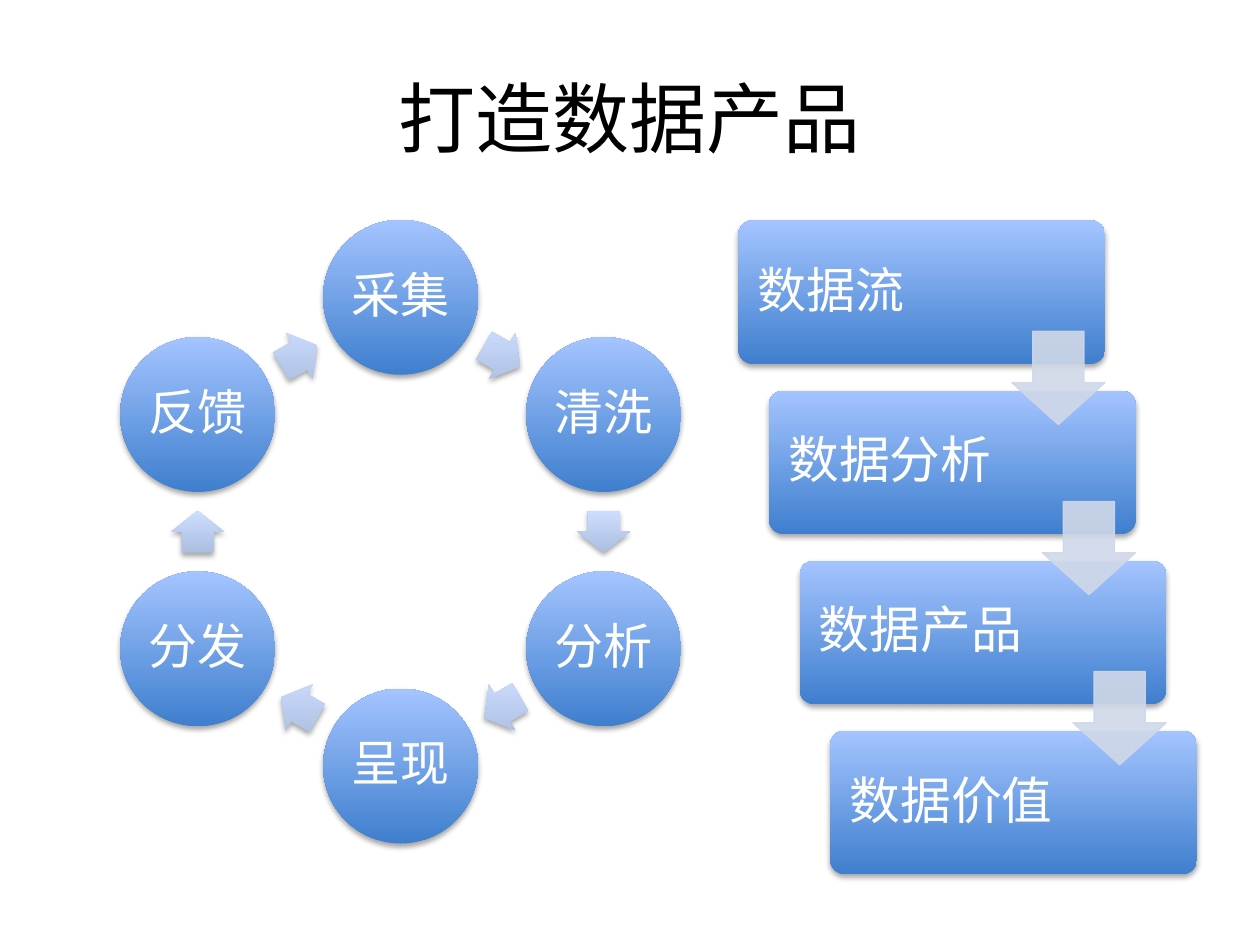
from dataclasses import dataclass
from math import cos, radians, sin

from lxml.etree import SubElement
from pptx import Presentation
from pptx.dml.color import RGBColor
from pptx.enum.shapes import MSO_SHAPE as Preset
from pptx.enum.text import MSO_ANCHOR as Anchor, PP_ALIGN as Align
from pptx.oxml.ns import qn
from pptx.shapes.autoshape import Shape
from pptx.slide import Slide
from pptx.util import Inches, Pt


@dataclass(frozen=True)
class Theme:
    font: str = "Calibri"
    title_size: int = 44
    label_size: int = 28
    step_size: int = 29
    ink: str = "000000"
    label: str = "FFFFFF"
    node: tuple[str, str] = ("3F7FCE", "A4C4FF")
    cycle_arrow: tuple[str, str] = ("ADBFE1", "CCDDFF")
    step_arrow: str = "D0D8E8"


@dataclass(frozen=True)
class Step:
    text: str
    size: int


THEME = Theme()
STAGES = ("采集", "清洗", "分析", "呈现", "分发", "反馈")
STEPS = (
    Step("数据流", THEME.label_size),
    Step("数据分析", THEME.step_size),
    Step("数据产品", THEME.step_size),
    Step("数据价值", THEME.step_size),
)
CENTER_X, CENTER_Y, RADIUS = 3.18, 4.22, 1.86
DIAMETER = 1.23
STEP_LEFT, STEP_TOP, STEP_WIDTH, STEP_HEIGHT = 5.86, 1.75, 2.91, 1.14
SHIFT_X, SHIFT_Y = 0.243, 1.35
DROP_SIZE = 0.74


def write(shape: Shape, text: str, *, size: int, color: str = THEME.label,
          align: Align = Align.CENTER, inset: float = 0.04,
          spacing: float = 0.9, wrap: bool = False) -> None:
    frame = shape.text_frame
    frame.word_wrap = wrap
    frame.vertical_anchor = Anchor.MIDDLE
    frame.margin_left = frame.margin_right = Inches(inset)
    frame.margin_top = frame.margin_bottom = Inches(inset)
    para = frame.paragraphs[0]
    para.alignment = align
    para.line_spacing = spacing
    span = para.add_run()
    span.text = text
    span.font.name = THEME.font
    span.font.size = Pt(size)
    span.font.color.rgb = RGBColor.from_string(color)


def add_preset(page: Slide, preset: Preset, left: float, top: float,
               width: float, height: float, *adjustments: float) -> Shape:
    shape = page.shapes.add_shape(
        preset, Inches(left), Inches(top), Inches(width), Inches(height))
    for index, value in enumerate(adjustments):
        shape.adjustments[index] = value
    shape.shadow.inherit = False
    shape.line.fill.background()
    return shape


def add_shadow(shape: Shape) -> None:
    effects = shape._element.spPr.find(qn("a:effectLst"))
    shadow = SubElement(
        effects, qn("a:outerShdw"), blurRad=str(Pt(3.1)), dist=str(Pt(1.8)),
        dir="5400000", rotWithShape="0")
    color = SubElement(shadow, qn("a:srgbClr"), val="000000")
    SubElement(color, qn("a:alpha"), val="35000")


def shade(shape: Shape, colors: tuple[str, str]) -> None:
    shape.fill.gradient()
    shape.fill.gradient_angle = 90
    for stop, color in zip(shape.fill.gradient_stops, colors):
        stop.color.rgb = RGBColor.from_string(color)
    shape._element.spPr.find(qn("a:gradFill")).set("rotWithShape", "0")
    add_shadow(shape)


def add_cycle(page: Slide) -> None:
    turn = 360 / len(STAGES)
    arrow_radius = RADIUS * cos(radians(turn / 2))
    arrow_width, arrow_height = 0.33, 0.42
    for index, stage in enumerate(STAGES):
        angle = radians(index * turn)
        circle = add_preset(
            page, Preset.OVAL,
            CENTER_X + RADIUS * sin(angle) - DIAMETER / 2,
            CENTER_Y - RADIUS * cos(angle) - DIAMETER / 2,
            DIAMETER, DIAMETER)
        shade(circle, THEME.node)
        write(circle, stage, size=THEME.label_size)

        heading = (index + 0.5) * turn
        angle = radians(heading)
        arrow = add_preset(
            page, Preset.RIGHT_ARROW,
            CENTER_X + arrow_radius * sin(angle) - arrow_width / 2,
            CENTER_Y - arrow_radius * cos(angle) - arrow_height / 2,
            arrow_width, arrow_height, 0.6, 0.5)
        arrow.rotation = heading
        shade(arrow, THEME.cycle_arrow)


def add_drop_arrow(page: Slide, left: float, top: float) -> None:
    arrow = add_preset(
        page, Preset.DOWN_ARROW, left, top, DROP_SIZE, DROP_SIZE, 0.55, 0.45)
    arrow.line.width = Pt(0.75)
    for fill in (arrow.fill, arrow.line.fill):
        fill.solid()
        fill.fore_color.rgb = RGBColor.from_string(THEME.step_arrow)
    for color in arrow._element.spPr.iter(qn("a:srgbClr")):
        SubElement(color, qn("a:alpha"), val="90000")


def add_staircase(page: Slide) -> None:
    for index, step in enumerate(STEPS):
        box = add_preset(
            page, Preset.ROUNDED_RECTANGLE,
            STEP_LEFT + index * SHIFT_X, STEP_TOP + index * SHIFT_Y,
            STEP_WIDTH, STEP_HEIGHT, 0.1)
        shade(box, THEME.node)
        write(box, step.text, size=step.size, align=Align.LEFT,
              inset=0.12, wrap=True)
    for index in range(len(STEPS) - 1):
        add_drop_arrow(
            page,
            STEP_LEFT + STEP_WIDTH - DROP_SIZE + index * SHIFT_X,
            2.63 + index * SHIFT_Y)


def main() -> None:
    deck = Presentation()
    deck.slide_width, deck.slide_height = Inches(10), Inches(7.5)
    page = deck.slides.add_slide(deck.slide_layouts[5])
    title = page.shapes.title
    title.left, title.top = Inches(0.5), Inches(0.3)
    title.width, title.height = Inches(9), Inches(1.25)
    write(title, "打造数据产品", size=THEME.title_size, color=THEME.ink,
          inset=0.05, spacing=1.0, wrap=True)
    add_cycle(page)
    add_staircase(page)
    deck.save("out.pptx")


main()
